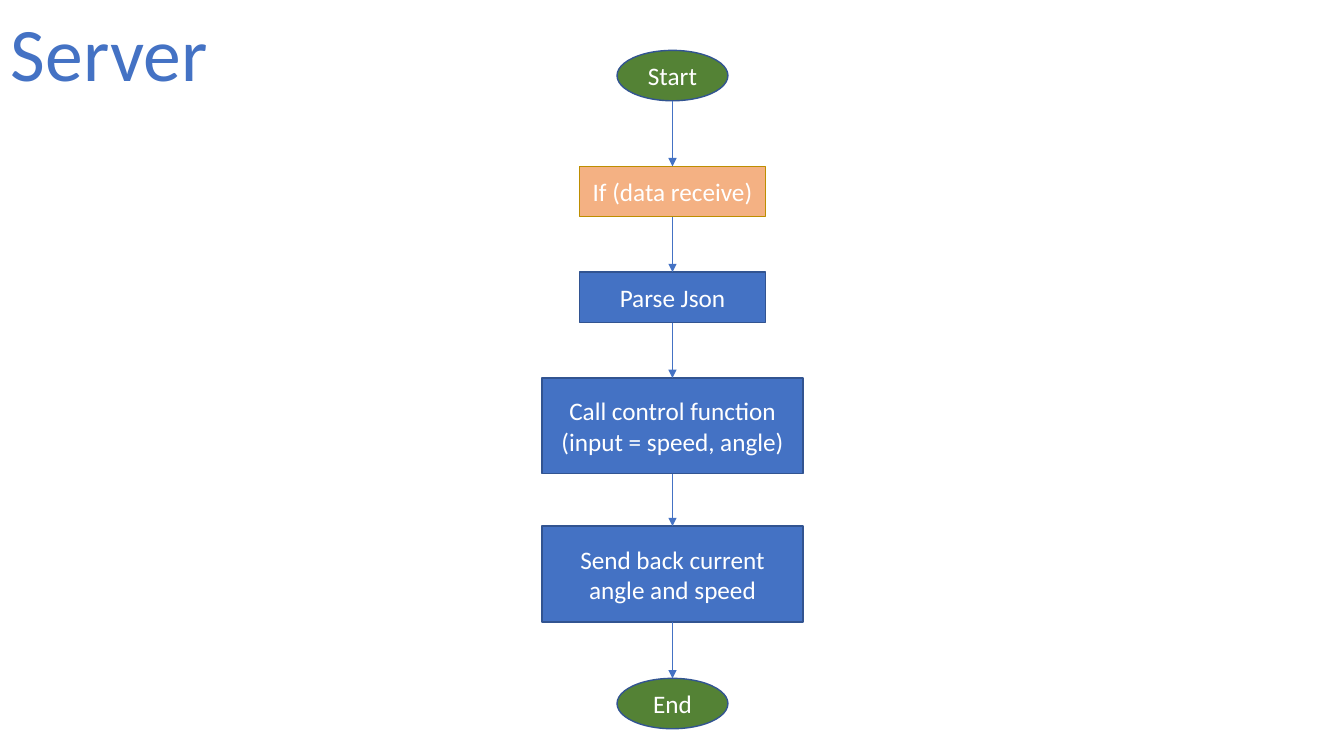
from dataclasses import dataclass
from itertools import pairwise
from typing import NamedTuple

from lxml.etree import SubElement
from pptx import Presentation
from pptx.dml.color import RGBColor
from pptx.enum.shapes import MSO_CONNECTOR as Connector, MSO_SHAPE as Shape
from pptx.enum.text import MSO_ANCHOR as Anchor, MSO_AUTO_SIZE as AutoSize, PP_ALIGN as Align
from pptx.oxml.ns import qn
from pptx.util import Inches, Pt


@dataclass(frozen=True)
class Theme:
    font: str = "Calibri"
    title_size: int = 54
    step_size: int = 18
    outline_width: float = 1
    arrow_width: float = 0.5
    accent: str = "4472C4"
    outline: str = "325491"
    terminal: str = "548235"
    condition: str = "F4B183"
    condition_outline: str = "BD8E00"
    step_text: str = "FFFFFF"


class Box(NamedTuple):
    left: float
    top: float
    width: float
    height: float


class Kind(NamedTuple):
    preset: Shape
    width: float
    height: float
    fill: str
    outline: str


THEME = Theme()
TERMINAL = Kind(Shape.OVAL, 1.1, 0.5, THEME.terminal, THEME.outline)
CONDITION = Kind(Shape.RECTANGLE, 1.84, 0.5, THEME.condition, THEME.condition_outline)
ACTION = Kind(Shape.RECTANGLE, 1.84, 0.5, THEME.accent, THEME.outline)
LONG_ACTION = Kind(Shape.RECTANGLE, 2.59, 0.95, THEME.accent, THEME.outline)

STEPS = [
    ("Start", TERMINAL, 0),
    ("If (data receive)", CONDITION, 1.15),
    ("Parse Json", ACTION, 2.2),
    ("Call control function (input = speed, angle)", LONG_ACTION, 3.25),
    ("Send back current angle and speed", LONG_ACTION, 4.72),
    ("End", TERMINAL, 6.23),
]


def color(value):
    return RGBColor.from_string(value)


def write(shape, text, size, text_color):
    frame = shape.text_frame
    frame.text = text
    frame.vertical_anchor = Anchor.MIDDLE
    para = frame.paragraphs[0]
    para.alignment = Align.CENTER
    font = para.runs[0].font
    font.name = THEME.font
    font.size = Pt(size)
    font.color.rgb = color(text_color)


def place_title(page, box, text):
    title = page.shapes.title
    title.left, title.top, title.width, title.height = map(Inches, box)
    write(title, text, THEME.title_size, THEME.accent)
    title.text_frame.word_wrap = False
    title.text_frame.auto_size = AutoSize.NONE


def add_step(page, box, text, kind):
    step = page.shapes.add_shape(kind.preset, *map(Inches, box))
    step.shadow.inherit = False
    step.fill.solid()
    step.fill.fore_color.rgb = color(kind.fill)
    step.line.color.rgb = color(kind.outline)
    step.line.width = Pt(THEME.outline_width)
    write(step, text, THEME.step_size, THEME.step_text)


def add_arrow(page, center, start, end):
    ends = map(Inches, (center, start, center, end))
    arrow = page.shapes.add_connector(Connector.STRAIGHT, *ends)
    arrow.line.color.rgb = color(THEME.accent)
    arrow.line.width = Pt(THEME.arrow_width)
    properties = arrow._element.spPr
    SubElement(properties.find(qn("a:ln")), qn("a:tailEnd"), type="triangle")
    SubElement(properties, qn("a:effectLst"))


def add_flow(page, box, steps):
    center = box.left + box.width / 2
    places = []
    for text, kind, offset in steps:
        place = Box(center - kind.width / 2, box.top + offset, kind.width, kind.height)
        add_step(page, place, text, kind)
        places.append(place)
    for upper, lower in pairwise(places):
        add_arrow(page, center, upper.top + upper.height, lower.top)


def build_flow_page(deck):
    page = deck.slides.add_slide(deck.slide_layouts[5])
    place_title(page, Box(0, 0, 2.17, 1.01), "Server")
    add_flow(page, Box(5.37, 0.5, 2.6, 6.73), STEPS)


deck = Presentation()
deck.slide_width, deck.slide_height = Inches(13.33), Inches(7.5)
build_flow_page(deck)
deck.save("out.pptx")
